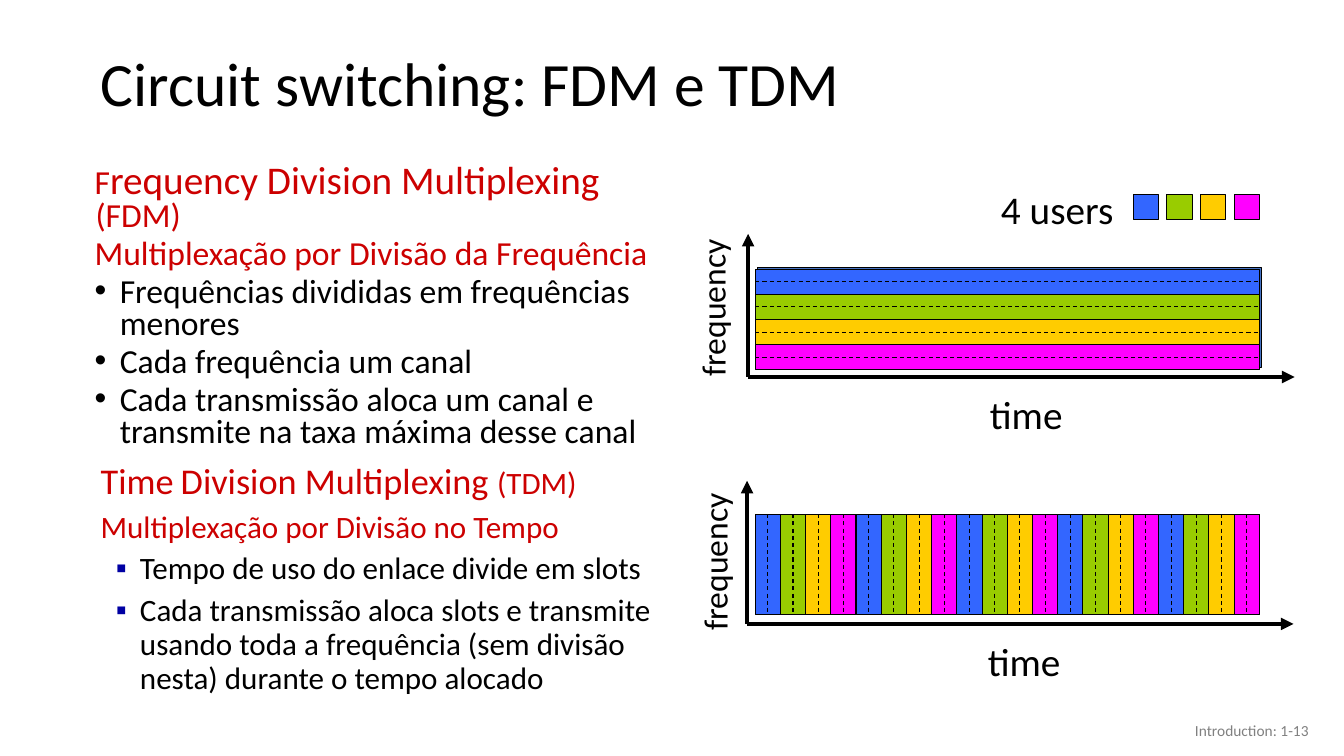
"""Build a slide that compares frequency and time division multiplexing."""
from dataclasses import dataclass

from lxml import etree
from pptx import Presentation
from pptx.dml.color import RGBColor
from pptx.enum.dml import MSO_LINE
from pptx.enum.shapes import MSO_CONNECTOR, MSO_SHAPE
from pptx.enum.text import MSO_ANCHOR, MSO_AUTO_SIZE, PP_ALIGN
from pptx.oxml.ns import qn
from pptx.util import Inches, Pt

RECTANGLE = MSO_SHAPE.RECTANGLE
STRAIGHT = MSO_CONNECTOR.STRAIGHT
DASH = MSO_LINE.DASH
LEFT, RIGHT = PP_ALIGN.LEFT, PP_ALIGN.RIGHT
MIDDLE = MSO_ANCHOR.MIDDLE
FIT_SHAPE, NO_FIT = MSO_AUTO_SIZE.SHAPE_TO_FIT_TEXT, MSO_AUTO_SIZE.NONE

FONT = "Calibri"
BLACK, RED, GRAY, NAVY, BACKING = "000000", "CC0000", "808080", "0000A3", "4472C4"
USER_COLORS = ("3366FF", "99CC00", "FFCC00", "FF00FF")
PLOT_LEFT, PLOT_WIDTH, PLOT_HEIGHT, BAND = 7.49, 5, 1, 0.25


@dataclass(frozen=True)
class Span:
    text: str
    size: float
    color: str = BLACK


@dataclass(frozen=True)
class Para:
    spans: tuple[Span, ...]
    margin: float = 0.01
    hanging: float = 0.01
    bullet: str = ""


@dataclass(frozen=True)
class TextBlock:
    left: float
    top: float
    width: float
    height: float
    line_spacing: float
    space_before: float
    bullet_color: str
    paras: tuple[Para, ...]


@dataclass(frozen=True)
class Diagram:
    axis_left: float
    axis_bottom: float
    backing_left: float
    backing_top: float
    plot_top: float
    frequency_left: float
    frequency_top: float
    time_left: float
    by_time: bool


def item(text: str, size: float, margin: float, hanging: float, bullet: str) -> Para:
    return Para((Span(text, size),), margin, hanging, bullet)


FDM_TEXT = TextBlock(0.84, 1.58, 5.76, 3.14, 0.8, 4, BLACK, (
    Para((Span("F", 24, RED), Span("requency Division Multiplexing ", 28, RED),
          Span("(FDM)", 24, RED))),
    Para((Span("Multiplexação por Divisão da Frequência", 24, RED),)),
    item("Frequências divididas em frequências menores", 24, 0.25, 0.25, "•"),
    item("Cada frequência um canal", 24, 0.25, 0.25, "•"),
    item("Cada transmissão aloca um canal e transmite na taxa máxima desse canal",
         24, 0.25, 0.25, "•"),
))
TDM_TEXT = TextBlock(0.9, 4.55, 5.77, 2.7, 0.9, 6, NAVY, (
    Para((Span("Time", 25.9, RED), Span(" ", 22.2, RED),
          Span("Division Multiplexing ", 25.9, RED), Span("(TDM)", 22.2, RED))),
    Para((Span("Multiplexação por Divisão no Tempo", 22.2, RED),)),
    item("Tempo de uso do enlace divide em slots", 22.2, 0.39, 0.24, "▪"),
    item("Cada transmissão aloca slots e transmite usando toda a frequência "
         "(sem divisão nesta) durante o tempo alocado", 22.2, 0.39, 0.24, "▪"),
))
DIAGRAMS = (
    Diagram(7.42, 3.74, 7.51, 2.65, 2.67, 6.28, 2.79, 9.72, False),
    Diagram(7.41, 6.19, 7.49, 5.1, 5.1, 6.3, 5.31, 9.7, True),
)


def rgb(color: str) -> RGBColor:
    return RGBColor.from_string(color)


def format_span(run, size: float, color: str) -> None:
    run.font.name = FONT
    run.font.size = Pt(size)
    run.font.color.rgb = rgb(color)


def add_label(page, text: str, left: float, top: float, width: float, height: float,
              size: float, rotation: float = 0):
    box = page.shapes.add_textbox(Inches(left), Inches(top), Inches(width), Inches(height))
    box.rotation = rotation
    frame = box.text_frame
    frame.text = text
    frame.word_wrap = False
    frame.auto_size = FIT_SHAPE
    format_span(frame.paragraphs[0].runs[0], size, BLACK)


def add_box(page, left: float, top: float, width: float, height: float, color: str) -> None:
    box = page.shapes.add_shape(RECTANGLE, Inches(left), Inches(top),
                                Inches(width), Inches(height))
    box.shadow.inherit = False
    box.fill.solid()
    box.fill.fore_color.rgb = rgb(color)
    box.line.color.rgb = rgb(BLACK)
    box.line.width = Pt(0.75)


def add_line(page, start: tuple[float, float], end: tuple[float, float],
             width: float = 0.75, dashed: bool = False, arrow: bool = False) -> None:
    line = page.shapes.add_connector(STRAIGHT, *map(Inches, start + end))
    line.line.color.rgb = rgb(BLACK)
    line.line.width = Pt(width)
    if dashed:
        line.line.dash_style = DASH
    properties = line._element.spPr
    if arrow:
        etree.SubElement(properties.find(qn("a:ln")), qn("a:tailEnd"), type="triangle")
    etree.SubElement(properties, qn("a:effectLst"))


def add_text_block(page, block: TextBlock) -> None:
    box = page.shapes.add_textbox(Inches(block.left), Inches(block.top),
                                  Inches(block.width), Inches(block.height))
    frame = box.text_frame
    frame.word_wrap = True
    for index, para in enumerate(block.paras):
        paragraph = frame.add_paragraph() if index else frame.paragraphs[0]
        paragraph.line_spacing = block.line_spacing
        paragraph.space_before = Pt(block.space_before)
        for span in para.spans:
            run = paragraph.add_run()
            run.text = span.text
            format_span(run, span.size, span.color)
        properties = paragraph._p.get_or_add_pPr()
        properties.set("marL", str(Inches(para.margin)))
        properties.set("indent", str(-Inches(para.hanging)))
        if para.bullet:
            color = etree.SubElement(properties, qn("a:buClr"))
            etree.SubElement(color, qn("a:srgbClr"), val=block.bullet_color)
            etree.SubElement(properties, qn("a:buFont"), typeface="Arial")
            etree.SubElement(properties, qn("a:buChar"), char=para.bullet)


def add_divider(page, diagram: Diagram, offset: float, dashed: bool) -> None:
    left, top = PLOT_LEFT, diagram.plot_top
    if diagram.by_time:
        add_line(page, (left + offset, top), (left + offset, top + PLOT_HEIGHT), dashed=dashed)
    else:
        add_line(page, (left, top + offset), (left + PLOT_WIDTH, top + offset), dashed=dashed)


def add_diagram(page, diagram: Diagram) -> None:
    origin = (diagram.axis_left, diagram.axis_bottom)
    add_line(page, origin, (origin[0], origin[1] - 1.42), width=3, arrow=True)
    add_line(page, origin, (origin[0] + 5.42, origin[1]), width=3, arrow=True)
    add_label(page, "frequency", diagram.frequency_left, diagram.frequency_top,
              1.58, 0.51, 24, rotation=270)
    add_label(page, "time", diagram.time_left, origin[1] + 0.08, 0.93, 0.57, 28)
    add_box(page, diagram.backing_left, diagram.backing_top, PLOT_WIDTH, PLOT_HEIGHT, BACKING)
    count = round((PLOT_WIDTH if diagram.by_time else PLOT_HEIGHT) / BAND)
    for index in range(count):
        color = USER_COLORS[index % len(USER_COLORS)]
        if diagram.by_time:
            add_box(page, PLOT_LEFT + index * BAND, diagram.plot_top, BAND, PLOT_HEIGHT, color)
        else:
            add_box(page, PLOT_LEFT, diagram.plot_top + index * BAND, PLOT_WIDTH, BAND, color)
    for index in range(1, count):
        add_divider(page, diagram, index * BAND, dashed=False)
    for index in range(count):
        add_divider(page, diagram, (index + 0.5) * BAND, dashed=True)


def add_title(page) -> None:
    title = page.shapes.title
    title.left, title.top, title.width, title.height = map(Inches, (0.9, 0.37, 11.5, 0.98))
    frame = title.text_frame
    frame.text = "Circuit switching: FDM e TDM"
    frame.vertical_anchor = MIDDLE
    frame.auto_size = NO_FIT
    paragraph = frame.paragraphs[0]
    paragraph.alignment = LEFT
    paragraph.line_spacing = 0.9
    format_span(paragraph.runs[0], 44, BLACK)


def add_page_label(page) -> None:
    box = page.shapes.add_textbox(Inches(10.08), Inches(7.05), Inches(3), Inches(0.4))
    frame = box.text_frame
    frame.text = "Introduction: 1-13"
    frame.word_wrap = True
    frame.vertical_anchor = MIDDLE
    frame.paragraphs[0].alignment = RIGHT
    format_span(frame.paragraphs[0].runs[0], 11, GRAY)


def main() -> None:
    deck = Presentation()
    deck.slide_width, deck.slide_height = Inches(13.33), Inches(7.5)
    page = deck.slides.add_slide(deck.slide_layouts[5])
    add_title(page)
    add_page_label(page)
    for diagram in DIAGRAMS:
        add_diagram(page, diagram)
    add_label(page, "4 users", 9.83, 1.79, 1.33, 0.57, 28)
    for index, color in enumerate(USER_COLORS):
        add_box(page, 11.24 + index / 3, 1.93, BAND, BAND, color)
    for block in (FDM_TEXT, TDM_TEXT):
        add_text_block(page, block)
    deck.save("out.pptx")


if __name__ == "__main__":
    main()
